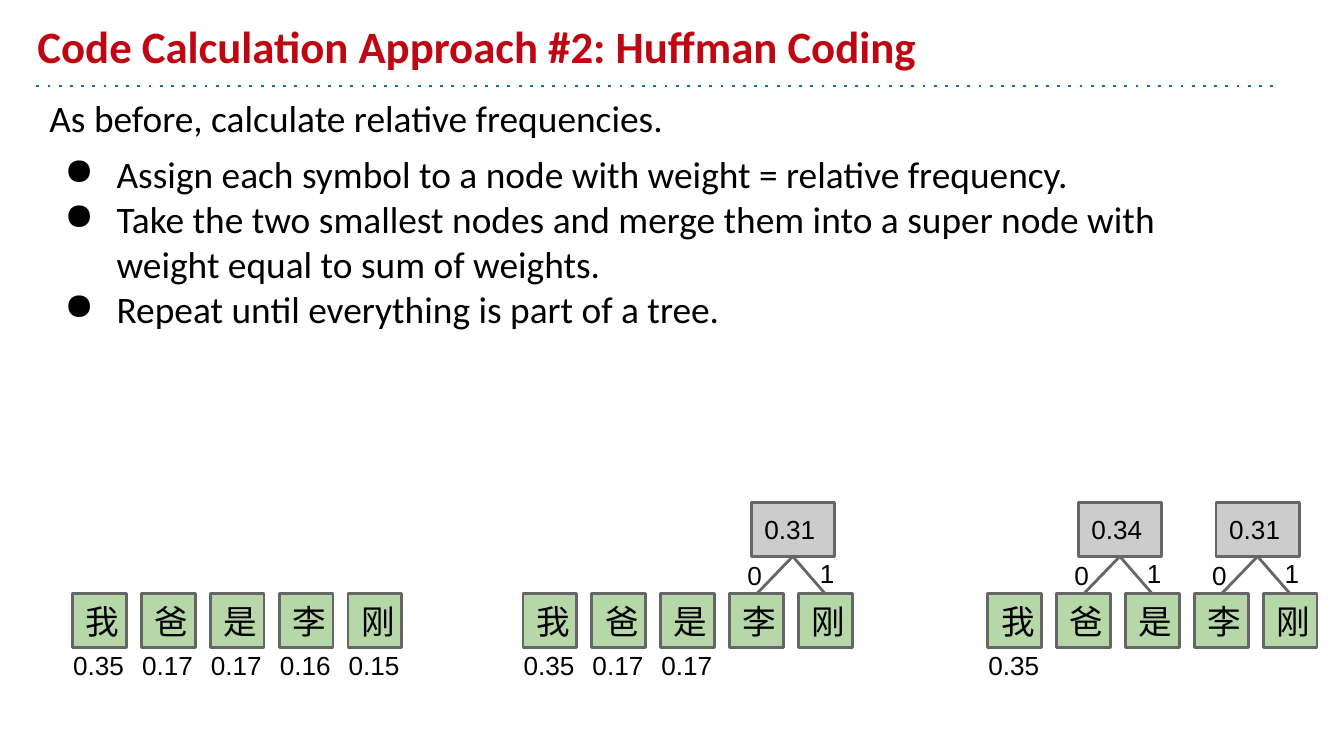
from dataclasses import dataclass
from typing import NamedTuple

from lxml import etree
from pptx import Presentation
from pptx.dml.color import RGBColor
from pptx.enum.shapes import MSO_CONNECTOR, MSO_SHAPE
from pptx.enum.text import MSO_ANCHOR, PP_ALIGN
from pptx.oxml.ns import qn
from pptx.util import Pt

STRAIGHT = MSO_CONNECTOR.STRAIGHT
RECTANGLE = MSO_SHAPE.RECTANGLE
TOP, MIDDLE, BOTTOM = MSO_ANCHOR.TOP, MSO_ANCHOR.MIDDLE, MSO_ANCHOR.BOTTOM
LEFT = PP_ALIGN.LEFT

BLACK, RED, BLUE, GRAY = "000000", "BE0712", "1072BD", "666666"
SYMBOL_FILL, MERGED_FILL = "B6D7A8", "CCCCCC"
INSET, STROKE = 7.2, 1.5

SYMBOLS = "我爸是李刚"
NODE_SIZE, NODE_PITCH, NODE_TOP = 28.8, 36.9, 318.2
WEIGHT_SHIFT, WEIGHT_TOP, WEIGHT_WIDTH = -6.8, 342, 44.6
MERGED_SHIFT, MERGED_TOP = 11.5, 269.3
BIT_WIDTH, BIT_HEIGHT = 19.4, 23

TITLE = "Code Calculation Approach #2: Huffman Coding"
INTRO = "As before, calculate relative frequencies."
STEPS = [
    "Assign each symbol to a node with weight = relative frequency.",
    "Take the two smallest nodes and merge them into a super node with weight equal to sum of weights.",
    "Repeat until everything is part of a tree.",
]


class Box(NamedTuple):
    left: float
    top: float
    width: float
    height: float


class Merge(NamedTuple):
    first_node: int
    weight: str


@dataclass(frozen=True)
class Stage:
    left: float
    weights: tuple[str, ...]
    merges: tuple[Merge, ...] = ()


STAGES = [
    Stage(38.9, ("0.35", "0.17", "0.17", "0.16", "0.15")),
    Stage(280.2, ("0.35", "0.17", "0.17"), (Merge(3, "0.31"),)),
    Stage(529.2, ("0.35",), (Merge(3, "0.31"), Merge(1, "0.34"))),
]


def color(value: str) -> RGBColor:
    """Turn a hex string into a colour."""
    return RGBColor.from_string(value)


def write(frame, text: str, *, size: float = 14, font: str = "Arial", ink: str = BLACK,
          bold: bool = False, anchor=MIDDLE, before: float = 0, bullet: str = "") -> None:
    """Add text to a frame as one formatted paragraph."""
    frame.word_wrap = True
    frame.vertical_anchor = anchor
    frame.margin_left = frame.margin_right = Pt(INSET)
    frame.margin_top = frame.margin_bottom = Pt(INSET)
    paragraph = frame.add_paragraph() if frame.text else frame.paragraphs[0]
    paragraph.alignment = LEFT
    paragraph.space_before = Pt(before)
    run = paragraph.add_run()
    run.text = text
    run.font.size, run.font.name, run.font.bold = Pt(size), font, bold
    run.font.color.rgb = color(ink)
    if bullet:
        properties = paragraph._p.get_or_add_pPr()
        properties.set("marL", str(Pt(36)))
        properties.set("indent", str(Pt(-28)))
        bullet_color = etree.SubElement(properties, qn("a:buClr"))
        etree.SubElement(bullet_color, qn("a:srgbClr"), val=ink)
        etree.SubElement(properties, qn("a:buChar"), char=bullet)


def add_label(shapes, box: Box, text: str, **text_format):
    """Add a text box and return its frame."""
    frame = shapes.add_textbox(*map(Pt, box)).text_frame
    write(frame, text, **text_format)
    return frame


def add_node(shapes, box: Box, text: str, fill: str, size: float) -> None:
    """Add an outlined tree node."""
    node = shapes.add_shape(RECTANGLE, *map(Pt, box))
    node.shadow.inherit = False
    node.fill.solid()
    node.fill.fore_color.rgb = color(fill)
    node.line.color.rgb = color(GRAY)
    node.line.width = Pt(STROKE)
    write(node.text_frame, text, size=size)


def add_line(shapes, x1: float, y1: float, x2: float, y2: float,
             ink: str = GRAY, dash: str = "solid") -> None:
    """Add a straight line without a shadow."""
    line = shapes.add_connector(STRAIGHT, Pt(x1), Pt(y1), Pt(x2), Pt(y2))
    line.line.color.rgb = color(ink)
    line.line.width = Pt(STROKE)
    properties = line._element.spPr
    etree.SubElement(properties.find(qn("a:ln")), qn("a:prstDash"), val=dash)
    etree.SubElement(properties, qn("a:effectLst"))


def add_merge(shapes, stage_left: float, merge: Merge) -> None:
    """Add a super node with branches to two neighbouring symbols."""
    left = stage_left + merge.first_node * NODE_PITCH
    merged = Box(left + MERGED_SHIFT, MERGED_TOP, WEIGHT_WIDTH, NODE_SIZE)
    add_node(shapes, merged, merge.weight, MERGED_FILL, 14)
    apex = merged.left + merged.width / 2
    for child in range(2):
        center = left + child * NODE_PITCH + NODE_SIZE / 2
        add_line(shapes, apex, MERGED_TOP + NODE_SIZE, center, NODE_TOP)
    for bit, shift, top in (("0", 2.4, 292.3), ("1", 41.2, 291.6)):
        add_label(shapes, Box(left + shift, top, BIT_WIDTH, BIT_HEIGHT), bit, anchor=TOP)


def add_stage(shapes, stage: Stage) -> None:
    """Add one step of the tree construction."""
    node_lefts = [stage.left + index * NODE_PITCH for index in range(len(SYMBOLS))]
    for left, symbol in zip(node_lefts, SYMBOLS):
        add_node(shapes, Box(left, NODE_TOP, NODE_SIZE, NODE_SIZE), symbol, SYMBOL_FILL, 18)
    for left, weight in zip(node_lefts, stage.weights):
        add_label(shapes, Box(left + WEIGHT_SHIFT, WEIGHT_TOP, WEIGHT_WIDTH, NODE_SIZE), weight)
    for merge in stage.merges:
        add_merge(shapes, stage.left, merge)


def main() -> None:
    """Build and save the slide."""
    deck = Presentation()
    deck.slide_width, deck.slide_height = Pt(720), Pt(405)
    shapes = deck.slides.add_slide(deck.slide_layouts[6]).shapes
    add_line(shapes, 19.5, 46.1, 684, 46.1, BLUE, "dot")
    add_label(shapes, Box(13, 7.2, 648, 38.9), TITLE, size=24, font="Calibri",
              ink=RED, bold=True, anchor=BOTTOM)
    body_format = {"size": 20, "font": "Calibri", "anchor": TOP}
    body = add_label(shapes, Box(19.4, 43.9, 664.6, 181.4), INTRO, before=6, **body_format)
    for index, step in enumerate(STEPS):
        write(body, step, before=0 if index else 6, bullet="●", **body_format)
    for stage in STAGES:
        add_stage(shapes.add_group_shape().shapes if stage.merges else shapes, stage)
    deck.save("out.pptx")


if __name__ == "__main__":
    main()
